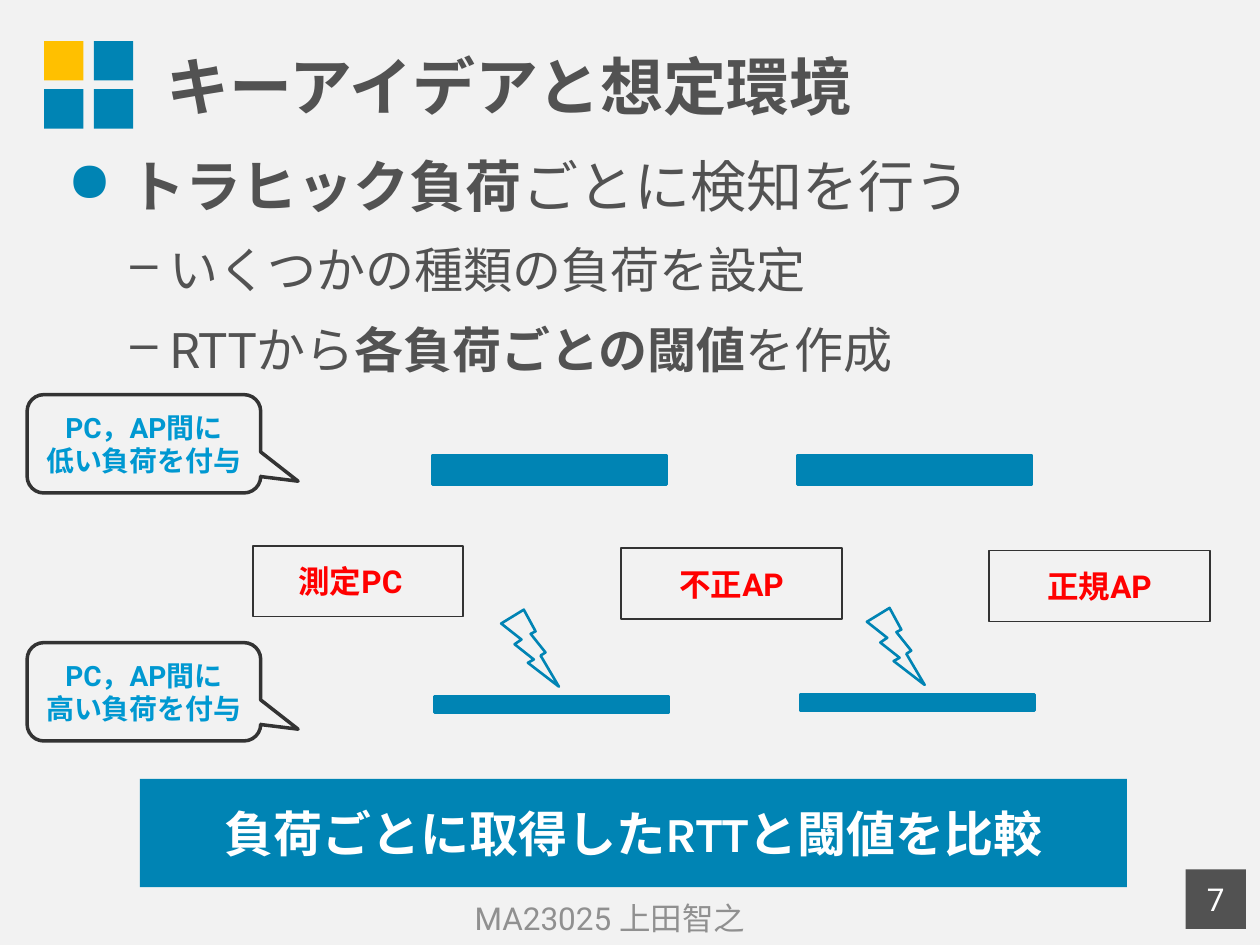
from lxml.etree import SubElement
from pptx import Presentation
from pptx.dml.color import RGBColor
from pptx.enum.shapes import MSO_SHAPE
from pptx.enum.text import MSO_ANCHOR, PP_ALIGN
from pptx.oxml.ns import qn
from pptx.util import Pt

PALE = RGBColor(0xF2, 0xF2, 0xF2)
WHITE = RGBColor(0xFF, 0xFF, 0xFF)
BLUE = RGBColor(0x00, 0x84, 0xB4)
SKY = RGBColor(0x00, 0x98, 0xD1)
GOLD = RGBColor(0xFF, 0xC0, 0x00)
RED = RGBColor(0xFF, 0x00, 0x00)
INK = RGBColor(0x33, 0x33, 0x33)
DARK = RGBColor(0x52, 0x52, 0x52)
GRAY = RGBColor(0x90, 0x90, 0x90)


def style(para, size, color, bold=None, name="Roboto"):
    font = para.font
    font.name, font.size, font.bold = name, Pt(size), bold
    font.color.rgb = color


def write(shape, text, size, color, bold=False, name="Roboto",
          align=PP_ALIGN.CENTER, pad=7.2):
    """Put one vertically centred paragraph in a shape."""
    frame = shape.text_frame
    frame.word_wrap = True
    frame.vertical_anchor = MSO_ANCHOR.MIDDLE
    frame.margin_left = frame.margin_right = Pt(pad)
    para = frame.paragraphs[0]
    para.text = text
    para.alignment = align
    style(para, size, color, bold, name)


def add_box(slide, area):
    return slide.shapes.add_textbox(*map(Pt, area))


def add_shape(slide, kind, area, fill=None, line=None, width=1):
    shape = slide.shapes.add_shape(kind, *map(Pt, area))
    shape.shadow.inherit = False
    if fill is None:
        shape.fill.background()
    else:
        shape.fill.solid()
        shape.fill.fore_color.rgb = fill
    if line is None:
        shape.line.fill.background()
    else:
        shape.line.color.rgb = line
        shape.line.width = Pt(width)
    return shape


def add_logo(slide):
    for row in range(2):
        for col in range(2):
            fill = GOLD if row == col == 0 else BLUE
            area = (25.2 + 28.5 * col, 23.5 + 27.5 * row, 22.5, 22.5)
            add_shape(slide, MSO_SHAPE.RECTANGLE, area, fill)


def set_bullet(para, char, left, hang, color=None):
    props = para._p.get_or_add_pPr()
    props.set("marL", str(Pt(left)))
    props.set("indent", str(Pt(-hang)))
    if color is not None:
        tint = SubElement(props, qn("a:buClr"))
        SubElement(tint, qn("a:srgbClr"), val=str(color))
    SubElement(props, qn("a:buChar"), char=char)


def add_point(para, parts, level):
    """Fill a bullet line from (text, bold) parts."""
    para.level = level
    if level:
        set_bullet(para, "–", 58.5, 22.5)
        para.space_before = Pt(12)
    else:
        set_bullet(para, "●", 35.5, 35.5, BLUE)
    style(para, 28 if level else 32, DARK)
    for text, bold in parts:
        run = para.add_run()
        run.text = text
        run.font.bold = bold


def add_points(slide):
    frame = add_box(slide, (31.5, 83, 659, 140)).text_frame
    frame.word_wrap = True
    lines = [
        (0, [("トラヒック負荷", True), ("ごとに検知を行う", False)]),
        (1, [("いくつかの種類の負荷を設定", False)]),
        (1, [("RTTから", False), ("各負荷ごとの閾値", True),
             ("を作成", False)]),
    ]
    for num, (level, parts) in enumerate(lines):
        para = frame.add_paragraph() if num else frame.paragraphs[0]
        add_point(para, parts, level)


def add_node(slide, text, left, top, width):
    node = add_shape(slide, MSO_SHAPE.RECTANGLE, (left, top, width, 40.5),
                     line=INK)
    write(node, text, 18, RED, True)
    return node


def add_callout(slide, text, top):
    shape = add_shape(slide, MSO_SHAPE.ROUNDED_RECTANGULAR_CALLOUT,
                      (15.5, top, 133.5, 56.2), line=INK, width=2)
    for num, value in enumerate((0.66, 0.38, 0.17)):
        shape.adjustments[num] = value
    write(shape, text, 16, SKY, True, pad=0)


def add_bar(slide, left, top, height):
    add_shape(slide, MSO_SHAPE.FLOWCHART_PROCESS, (left, top, 134, height),
              BLUE, BLUE, 1.5)


def add_links(slide):
    """Draw the low load bars, and the high load bars with their bolts."""
    for left in (247, 455.8):
        add_bar(slide, left, 260, 17)
    for left, top in ((248.2, 398), (457.2, 397)):
        add_bar(slide, left, top, 9)
        add_shape(slide, MSO_SHAPE.LIGHTNING_BOLT,
                  (left + 38.2, top - 49.6, 33, 44), PALE, BLUE, 1.5)


def main():
    deck = Presentation()
    deck.slide_width, deck.slide_height = Pt(720), Pt(540)
    slide = deck.slides.add_slide(deck.slide_layouts[6])
    back = slide.background.fill
    back.solid()
    back.fore_color.rgb = PALE

    add_logo(slide)
    write(add_box(slide, (88, 3.6, 632, 90)), "キーアイデアと想定環境",
          36, DARK, True, align=PP_ALIGN.LEFT)
    write(add_box(slide, (25, 510, 647, 29)), "MA23025 上田智之", 18, GRAY)
    page = add_shape(slide, MSO_SHAPE.RECTANGLE, (677.5, 496.8, 34.5, 34),
                     DARK)
    write(page, "7", 18, WHITE, pad=0)

    add_points(slide)
    host = add_node(slide, "測定PC", 144.7, 311.8, 120)
    host.text_frame.margin_right = Pt(16)
    add_node(slide, "不正AP", 355, 313.2, 126)
    add_node(slide, "正規AP", 565.3, 314.6, 126)
    add_links(slide)
    add_callout(slide, "PC，AP間に\n低い負荷を付与", 225.5)
    add_callout(slide, "PC，AP間に\n高い負荷を付与", 367.2)

    banner = add_shape(slide, MSO_SHAPE.RECTANGLE, (80, 445, 564, 62), BLUE)
    write(banner, "負荷ごとに取得したRTTと閾値を比較", 28, WHITE, True, "Karla")
    deck.save("out.pptx")


if __name__ == "__main__":
    main()
